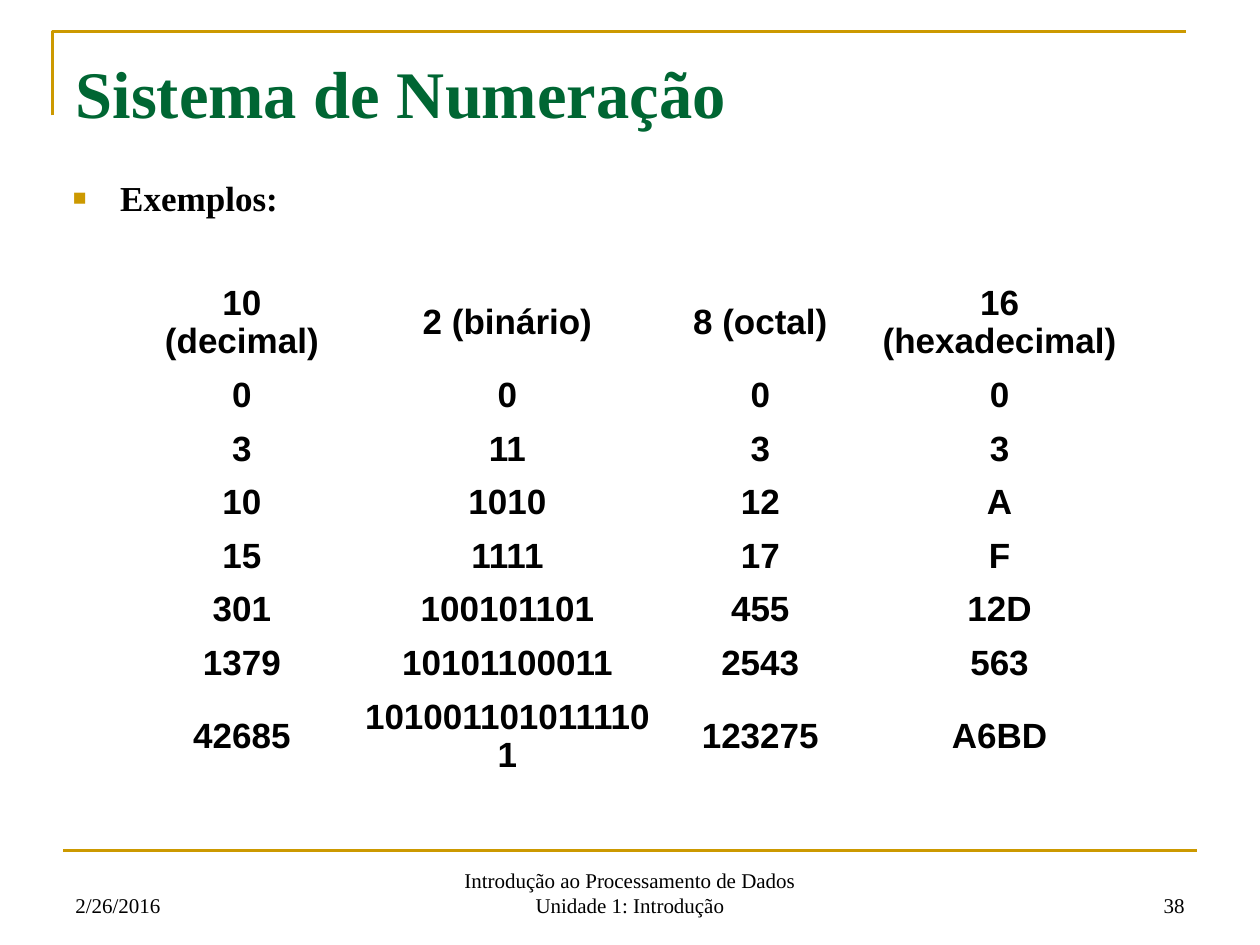
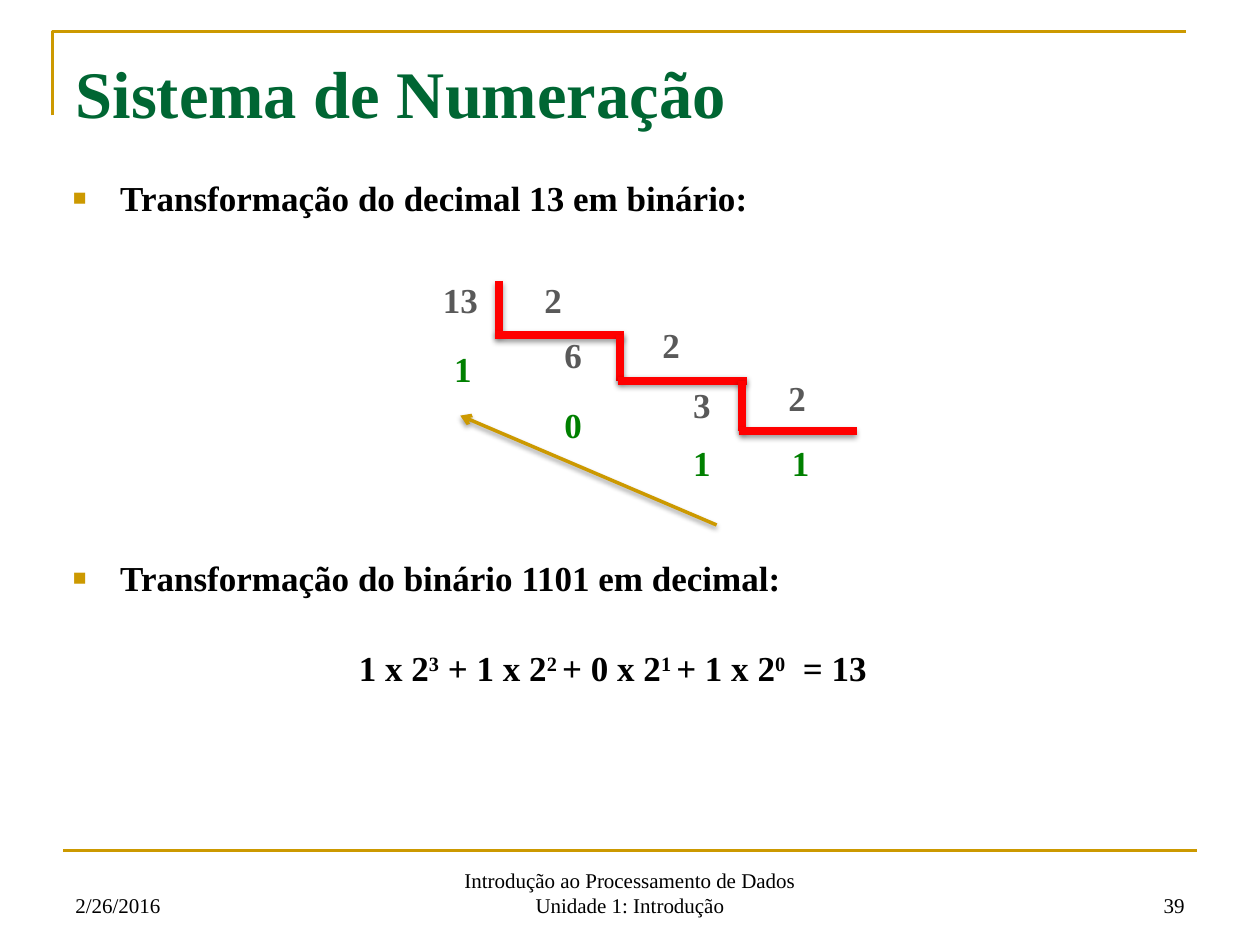
from lxml import etree
from pptx import Presentation
from pptx.dml.color import RGBColor
from pptx.enum.shapes import MSO_CONNECTOR as Connector
from pptx.enum.text import MSO_ANCHOR as Anchor, MSO_AUTO_SIZE as AutoSize, PP_ALIGN as Align
from pptx.oxml.ns import qn
from pptx.util import Pt

GOLD = RGBColor(0xCC, 0x99, 0x00)
DARK_GREEN = RGBColor(0x00, 0x66, 0x33)
GREEN = RGBColor(0x00, 0x80, 0x00)
GRAY = RGBColor(0x59, 0x59, 0x59)
RED = RGBColor(0xFF, 0x00, 0x00)
BLACK = RGBColor(0x00, 0x00, 0x00)
WHITE = RGBColor(0xFF, 0xFF, 0xFF)
SERIF, SANS = "Times New Roman", "Arial"

TITLE = "Sistema de Numeração"
DATE = "2/26/2016"
COURSE = ["Introdução ao Processamento de Dados", "Unidade 1: Introdução"]
ROW_HEIGHT, TALL_ROW_HEIGHT = 29.5, 51.8

BASES = [
    ["10 (decimal)", "2 (binário)", "8 (octal)", "16 (hexadecimal)"],
    ["0", "0", "0", "0"],
    ["3", "11", "3", "3"],
    ["10", "1010", "12", "A"],
    ["15", "1111", "17", "F"],
    ["301", "100101101", "455", "12D"],
    ["1379", "10101100011", "2543", "563"],
    ["42685", "1010011010111101", "123275", "A6BD"],
]


class Lesson:
    """Shared style plus the page being drawn."""

    def __init__(self):
        self.deck = Presentation()
        self.deck.slide_width, self.deck.slide_height = Pt(720), Pt(540)
        self.page = None

    def new_page(self, number, bullets):
        self.page = self.deck.slides.add_slide(self.deck.slide_layouts[1])
        self.frame()
        self.footer(36, 168, [DATE], Align.LEFT)
        self.footer(246, 228, COURSE, Align.CENTER)
        self.footer(516, 168, [str(number)], Align.RIGHT)
        self.title()
        self.bullets(bullets)

    def span(self, para, text, size=20, color=BLACK, bold=True, font=SERIF, raised=False):
        span = para.add_run()
        span.text = text
        span.font.name, span.font.size = font, Pt(size)
        span.font.bold, span.font.color.rgb = bold, color
        if raised:
            span._r.get_or_add_rPr().set("baseline", "30000")

    # Frame, footer and placeholders
    def frame(self):
        outline = self.page.shapes.build_freeform(Pt(30), Pt(66))
        outline.add_line_segments([(Pt(30), Pt(18)), (Pt(678), Pt(18))], close=False)
        corner = outline.convert_to_shape()
        corner.shadow.inherit = False
        corner.fill.background()
        corner.line.color.rgb, corner.line.width = GOLD, Pt(1.5)
        self.line((36, 486), (684, 486), GOLD, 1.5, shadow=False)

    def footer(self, left, width, lines, align):
        box = self.page.shapes.add_textbox(Pt(left), Pt(492), Pt(width), Pt(36))
        frame = box.text_frame
        frame.word_wrap, frame.vertical_anchor = True, Anchor.BOTTOM
        for index, text in enumerate(lines):
            para = frame.add_paragraph() if index else frame.paragraphs[0]
            para.alignment = align
            self.span(para, text, size=12, bold=False)

    def place(self, box, left, top, width, height, anchor):
        box.left, box.top, box.width, box.height = Pt(left), Pt(top), Pt(width), Pt(height)
        frame = box.text_frame
        frame.auto_size, frame.vertical_anchor = AutoSize.NONE, anchor
        return frame

    def title(self):
        frame = self.place(self.page.shapes.title, 36, 21.5, 664.5, 62.5, Anchor.MIDDLE)
        para = frame.paragraphs[0]
        para.alignment = Align.LEFT
        self.span(para, TITLE, size=38, color=DARK_GREEN)

    def bullets(self, items):
        frame = self.place(self.page.placeholders[1], 34.5, 97.5, 648, 52, Anchor.TOP)
        for index, (text, space) in enumerate(items):
            para = frame.add_paragraph() if index else frame.paragraphs[0]
            para.space_before = Pt(space)
            props = para._p.get_or_add_pPr()
            props.set("marL", str(Pt(27)))
            props.set("indent", str(-Pt(27)))
            color = etree.SubElement(props, qn("a:buClr"))
            etree.SubElement(color, qn("a:srgbClr"), val=str(GOLD))
            etree.SubElement(props, qn("a:buSzPct"), val="65000")
            etree.SubElement(props, qn("a:buFont"), typeface=SANS)
            etree.SubElement(props, qn("a:buChar"), char="■")
            self.span(para, text)

    # Page elements
    def line(self, start, end, color, width, shadow=True, arrow=False):
        ends = [Pt(value) for value in (*start, *end)]
        line = self.page.shapes.add_connector(Connector.STRAIGHT, *ends)
        line.line.color.rgb, line.line.width = color, Pt(width)
        props = line.element.spPr
        if arrow:
            etree.SubElement(props.find(qn("a:ln")), qn("a:tailEnd"), type="arrow")
        effects = etree.SubElement(props, qn("a:effectLst"))
        if shadow:
            outer = etree.SubElement(effects, qn("a:outerShdw"), blurRad=str(Pt(3.1)),
                                     dist=str(Pt(1.6)), dir="5400000", rotWithShape="0")
            tint = etree.SubElement(outer, qn("a:srgbClr"), val=str(BLACK))
            etree.SubElement(tint, qn("a:alpha"), val="38000")

    def label(self, left, top, parts, color=BLACK, width=24.5):
        """Write parts in one line; every second part is raised."""
        box = self.page.shapes.add_textbox(Pt(left), Pt(top), Pt(width), Pt(31.5))
        frame = box.text_frame
        frame.word_wrap, frame.auto_size = False, AutoSize.SHAPE_TO_FIT_TEXT
        for index, text in enumerate(parts):
            self.span(frame.paragraphs[0], text, color=color, raised=index % 2 == 1)

    def table(self, left, top, widths, rows):
        heights = [ROW_HEIGHT] * len(rows)
        heights[0] = heights[-1] = TALL_ROW_HEIGHT
        table = self.page.shapes.add_table(len(rows), len(widths), Pt(left), Pt(top),
                                           Pt(sum(widths)), Pt(sum(heights))).table
        table.first_row = table.horz_banding = False
        for column, width in zip(table.columns, widths):
            column.width = Pt(width)
        for row, height, texts in zip(table.rows, heights, rows):
            row.height = Pt(height)
            for cell, text in zip(row.cells, texts):
                cell.fill.solid()
                cell.fill.fore_color.rgb = WHITE
                cell.vertical_anchor = Anchor.MIDDLE
                para = cell.text_frame.paragraphs[0]
                para.alignment, para.line_spacing = Align.CENTER, 0.97
                self.span(para, text, font=SANS)


def main():
    lesson = Lesson()

    # Numbers in four bases
    lesson.new_page(38, [("Exemplos:", 12)])
    lesson.table(75.5, 157.5, [125.5, 178, 111, 162.5], BASES)

    # Conversion both ways
    lesson.new_page(39, [("Transformação do decimal 13 em binário:", 12),
                         ("Transformação do binário 1101 em decimal:", 193)])

    # Division staircase: bar x, bar top, shelf y, shelf left, shelf right
    steps = [(285, 160.5, 191.5, 283, 356.5),
             (354.5, 191.5, 217.5, 353, 427),
             (424, 217.5, 246.5, 422.5, 489.5)]
    for bar, top, shelf, left, right in steps:
        lesson.line((bar, top), (bar, shelf), RED, 4.5)
        lesson.line((left, shelf), (right, shelf), RED, 4.5)

    lesson.label(246, 155.5, ["13"], GRAY, 34.5)
    divisors = [("2", 304, 155.5), ("2", 371.5, 181.5), ("2", 443.5, 211.5)]
    quotients = [("6", 315.5, 187), ("3", 389, 215.5)]
    remainders = [("1", 252.5, 195), ("0", 315.5, 227), ("1", 389, 249), ("1", 445.5, 249)]
    for digits, color in ((divisors + quotients, GRAY), (remainders, GREEN)):
        for digit, left, top in digits:
            lesson.label(left, top, [digit], color)
    lesson.line((409.5, 300), (263, 237.5), GOLD, 2, arrow=True)

    # Sum of powers
    lesson.label(198, 366, ["1 x 2", "3", " + 1 x 2", "2 ", "+ 0 x 2", "1 ",
                            "+ 1 x 2", "0", "  = 13"], width=310.5)

    lesson.deck.save("out.pptx")


if __name__ == "__main__":
    main()
